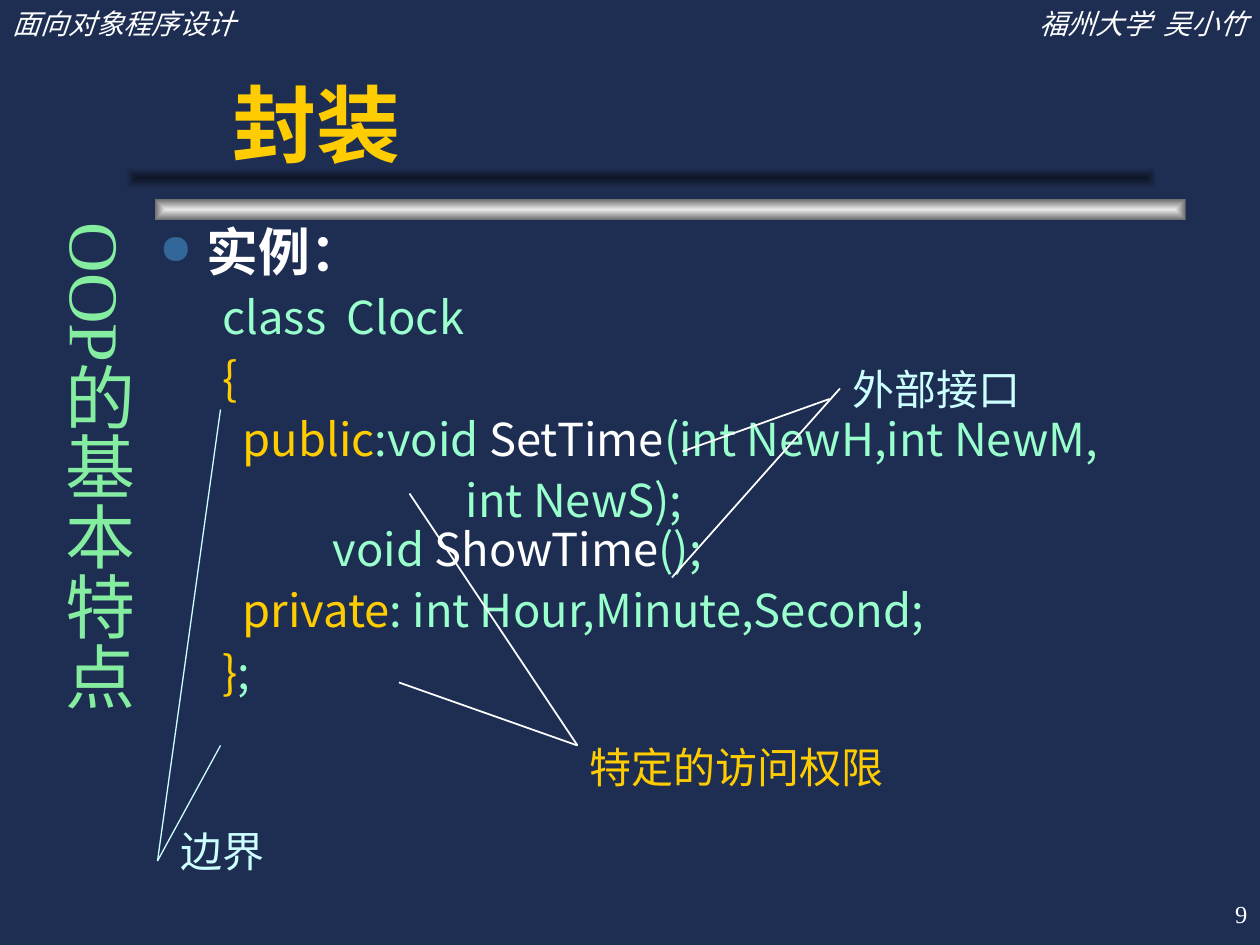
from typing import NamedTuple, Optional

from lxml.etree import SubElement as Sub
from pptx import Presentation
from pptx.dml.color import RGBColor
from pptx.enum.shapes import MSO_CONNECTOR as Conn, MSO_SHAPE as Shape
from pptx.enum.text import MSO_ANCHOR as Anchor, MSO_AUTO_SIZE as Auto, PP_ALIGN as Align
from pptx.oxml.ns import qn
from pptx.util import Pt

NAVY, WHITE, GOLD = "1E2E53", "FFFFFF", "FFCC00"
MINT, ICE, GREEN = "99FFCC", "CCFFFF", "85EDA0"
TIMES, SANS = "Times New Roman", "Noto Sans CJK SC"


class Bar(NamedTuple):
    left: float
    top: float
    mid: str
    edge: str


class Label(NamedTuple):
    text: str
    left: float
    top: float
    width: float
    height: float
    size: float
    color: str
    face: str = TIMES
    bold: bool = False
    italic: bool = False
    align: Align = Align.LEFT
    anchor: Anchor = Anchor.TOP
    wrap: bool = True
    space: float = 1
    vert: bool = False


class Line(NamedTuple):
    x1: float
    y1: float
    x2: float
    y2: float
    color: str = WHITE
    width: float = 1
    goal: Optional[str] = None


BARS = [
    Bar(88.5, 113.75, "EAEAEA", "6C6C6C"),
    Bar(72, 95.75, "0E1526", NAVY),
]

LABELS = [
    Label("面向对象程序设计", 0, 0, 222, 27, 16, WHITE, italic=True),
    Label("福州大学  吴小竹", 498, 0, 222, 27, 16, WHITE, italic=True,
          align=Align.RIGHT),
    Label("9", 570, 504, 150, 36, 14, WHITE, align=Align.RIGHT,
          anchor=Anchor.MIDDLE, wrap=False),
    Label("封装", 126, 36, 546, 66, 48, GOLD, "Arial", bold=True,
          anchor=Anchor.BOTTOM, space=0.8),
    Label("边界", 96, 468, 72, 36, 24, ICE),
    Label("特定的访问权限", 330, 420, 186, 36, 24, GOLD),
    Label("OOP的基本特点", 21.5, 120, 62, 372, 40, GREEN,
          align=Align.CENTER, vert=True),
    Label("外部接口", 480, 204, 126, 36, 24, ICE),
]

LINES = [
    Line(126, 234, 90, 492, ICE, 0.75),
    Line(126, 426, 90, 492, ICE, 0.75),
    Line(384, 330, 480, 222, goal="外部接口"),
    Line(390, 258, 474, 228),
    Line(234, 282, 330, 426),
    Line(228, 390, 330, 426),
]

CODE = [
    [("class  Clock", MINT)],
    [("{", GOLD)],
    [("  ", MINT), ("public", GOLD), (":void ", MINT), ("SetTime", WHITE),
     ("(int NewH,int NewM,", MINT)],
    [("                        int NewS);", MINT), ("\n", MINT),
     ("       void ", MINT), ("ShowTime", WHITE), ("();", MINT)],
    [("  ", MINT), ("private", GOLD), (": int Hour,Minute,Second;", MINT)],
    [("}", GOLD), (";", MINT)],
]


def rgb(code: str) -> RGBColor:
    return RGBColor.from_string(code)


def style(run, size: float, color: str, face: str,
          bold: bool = False, italic: bool = False) -> None:
    font = run.font
    font.size, font.name = Pt(size), face
    font.bold, font.italic = bold, italic
    font.color.rgb = rgb(color)
    Sub(font._element, qn("a:ea")).set("typeface", SANS)


def indent(para, left: float, first: float) -> None:
    props = para._p.get_or_add_pPr()
    props.set("marL", str(Pt(left)))
    props.set("indent", str(Pt(first)))


def draw_bar(slide, bar: Bar) -> None:
    """Draw a bar shaded from its middle out to its edges."""
    shape = slide.shapes.add_shape(
        Shape.RECTANGLE, Pt(bar.left), Pt(bar.top), Pt(589), Pt(12))
    shape.shadow.inherit = False
    shape.line.fill.background()
    shape.fill.gradient()
    for stop, color in zip(shape.fill.gradient_stops, (bar.mid, bar.edge)):
        stop.color.rgb = rgb(color)
    grad = shape._element.spPr.find(qn("a:gradFill"))
    grad.remove(grad.find(qn("a:lin")))
    shade = Sub(grad, qn("a:path"))
    shade.set("path", "rect")
    rect = Sub(shade, qn("a:fillToRect"))
    for side in "ltrb":
        rect.set(side, "50000")


def draw_label(slide, label: Label):
    box = slide.shapes.add_textbox(
        Pt(label.left), Pt(label.top), Pt(label.width), Pt(label.height))
    frame = box.text_frame
    frame.word_wrap, frame.auto_size = label.wrap, Auto.NONE
    frame.vertical_anchor = label.anchor
    if label.vert:
        frame._txBody.bodyPr.set("vert", "eaVert")
        frame.margin_left = frame.margin_right = Pt(3.6)
        frame.margin_top = frame.margin_bottom = Pt(7.2)
    frame.text = label.text
    para = frame.paragraphs[0]
    para.alignment, para.line_spacing = label.align, label.space
    style(para.runs[0], label.size, label.color, label.face,
          label.bold, label.italic)
    return box


def draw_body(slide) -> None:
    box = slide.shapes.add_textbox(Pt(84), Pt(126), Pt(642), Pt(306))
    frame = box.text_frame
    frame.word_wrap = True
    frame.text = "实例："
    head = frame.paragraphs[0]
    head.line_spacing = 0.9
    indent(head, 27, -27)
    props = head._p.get_or_add_pPr()
    Sub(Sub(props, qn("a:buClr")), qn("a:srgbClr")).set("val", "336699")
    Sub(props, qn("a:buSzPct")).set("val", "80000")
    Sub(props, qn("a:buChar")).set("char", "●")
    style(head.runs[0], 29.6, WHITE, SANS, bold=True)
    for row in CODE:
        para = frame.add_paragraph()
        para.level, para.line_spacing, para.space_before = 1, 0.9, Pt(7)
        indent(para, 58.5, -22.5)
        for text, color in row:
            if text == "\n":
                para.add_line_break()
                continue
            run = para.add_run()
            run.text = text
            style(run, 25.9, color, SANS)


def draw_line(slide, line: Line, boxes: dict) -> None:
    link = slide.shapes.add_connector(
        Conn.STRAIGHT, Pt(line.x1), Pt(line.y1), Pt(line.x2), Pt(line.y2))
    link.line.color.rgb = rgb(line.color)
    link.line.width = Pt(line.width)
    Sub(link._element.spPr, qn("a:effectLst"))
    if line.goal:
        link.end_connect(boxes[line.goal], 1)


def main() -> None:
    deck = Presentation()
    deck.slide_width, deck.slide_height = Pt(720), Pt(540)
    slide = deck.slides.add_slide(deck.slide_layouts[6])
    slide.background.fill.solid()
    slide.background.fill.fore_color.rgb = rgb(NAVY)
    for bar in BARS:
        draw_bar(slide, bar)
    draw_body(slide)
    boxes = {label.text: draw_label(slide, label) for label in LABELS}
    for line in LINES:
        draw_line(slide, line, boxes)
    deck.save("out.pptx")


if __name__ == "__main__":
    main()
